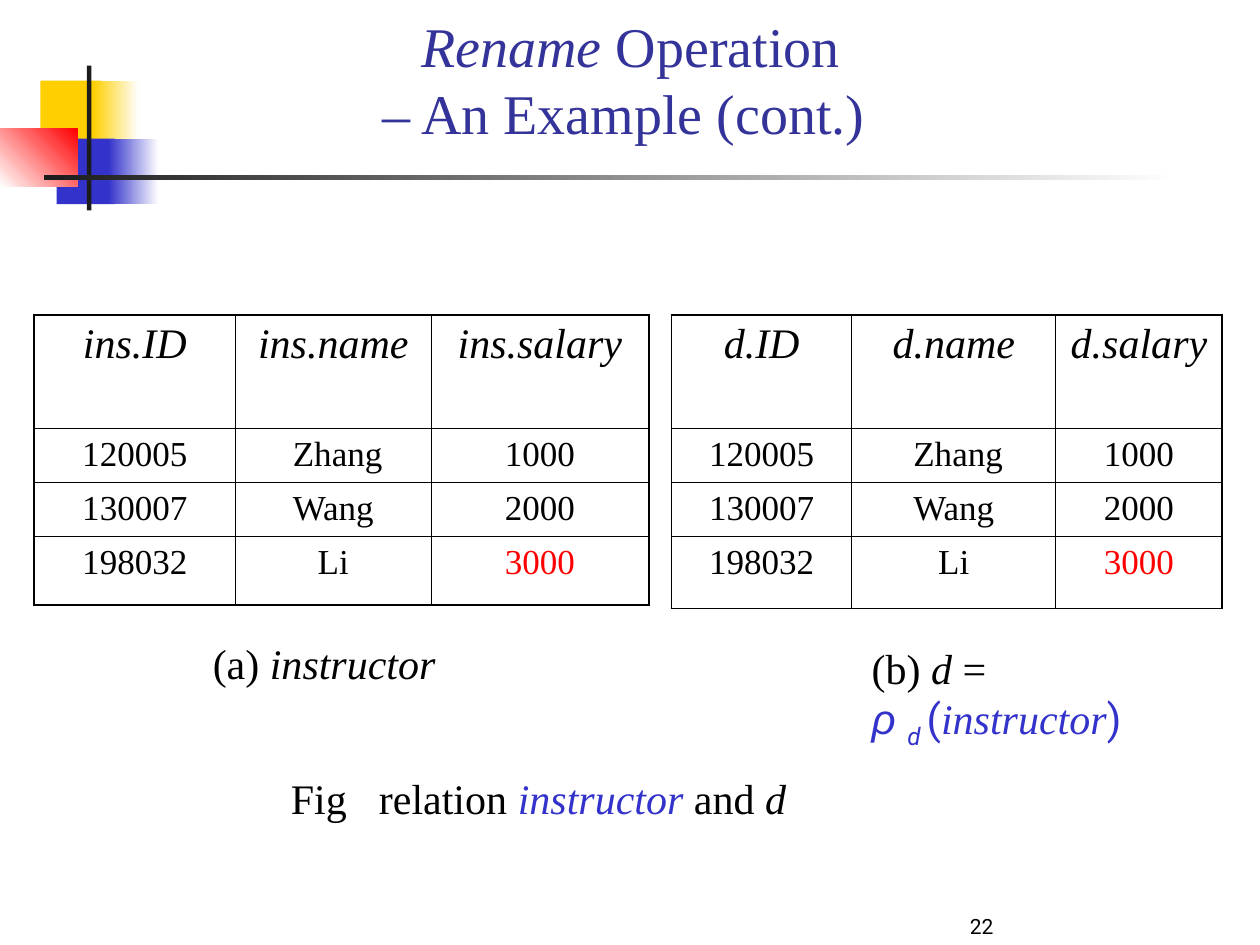
from lxml import etree
from pptx import Presentation
from pptx.dml.color import RGBColor
from pptx.enum.shapes import MSO_SHAPE
from pptx.enum.text import MSO_ANCHOR, MSO_AUTO_SIZE, PP_ALIGN
from pptx.oxml.ns import qn
from pptx.util import Inches, Pt

RECT = MSO_SHAPE.RECTANGLE
LEFT, MID = PP_ALIGN.LEFT, PP_ALIGN.CENTER
TOP, CENTER, LOW = MSO_ANCHOR.TOP, MSO_ANCHOR.MIDDLE, MSO_ANCHOR.BOTTOM
GROW, FIXED = MSO_AUTO_SIZE.SHAPE_TO_FIT_TEXT, MSO_AUTO_SIZE.NONE

BLACK = RGBColor(0, 0, 0)
WHITE = RGBColor(255, 255, 255)
DARK = RGBColor(0x1C, 0x1C, 0x1C)
GOLD = RGBColor(0xFF, 0xCF, 0x01)
BLUE = RGBColor(0x33, 0x33, 0xCC)
NAVY = RGBColor(0x33, 0x33, 0x99)
RED = RGBColor(255, 0, 0)

SERIF, SANS, GREEK = "Times New Roman", "Roboto", "Arial"
UNIT = Inches(0.1)  # the slide is a grid of 100 columns by 75 rows
THIN, THICK = Pt(0.45), Pt(1.08)
DATA = [
    ["120005", " Zhang", "1000"],
    ["130007", "Wang", "2000"],
    ["198032", "Li", "3000"],
]


def grid(*vals):
    return [int(UNIT * val) for val in vals]


def write(para, text, size=24, font=SERIF, color=BLACK, slant=False, sub=False):
    """Add one run of text to a paragraph."""
    run = para.add_run()
    run.text = text
    run.font.size = Pt(size)
    run.font.name = font
    run.font.italic = slant
    run.font.color.rgb = color
    if sub:
        run.font._element.set("baseline", "-25000")


def add_text(slide, box, lines, align=LEFT, anchor=TOP, fit=GROW, wrap=True, tab=None):
    """Place lines, each a list of (text, format) runs, in a box."""
    frame = slide.shapes.add_textbox(*grid(*box)).text_frame
    frame.word_wrap = wrap
    frame.auto_size = fit
    frame.vertical_anchor = anchor
    for num, runs in enumerate(lines):
        para = frame.add_paragraph() if num else frame.paragraphs[0]
        para.alignment = align
        if tab:
            stops = etree.SubElement(para._p.get_or_add_pPr(), qn("a:tabLst"))
            etree.SubElement(stops, qn("a:tab"), pos=str(grid(tab)[0]), algn="l")
        for text, style in runs:
            write(para, text, **style)


def add_bar(slide, box, start, end=None, angle=0):
    """Draw a rectangle, plain or fading from start to end."""
    bar = slide.shapes.add_shape(RECT, *grid(*box))
    bar.shadow.inherit = False
    bar.line.fill.background()
    if end is None:
        bar.fill.solid()
        bar.fill.fore_color.rgb = start
        return
    bar.fill.gradient()
    bar.fill.gradient_angle = angle
    for stop, color in zip(bar.fill.gradient_stops, (start, end)):
        stop.color.rgb = color


def add_motif(slide, left, top):
    for x, y, w, h, *fill in [
        (3.2, 1.2, 4.8, 5.2, GOLD),
        (7.4, 1.2, 3.6, 5.2, GOLD, WHITE),
        (4.5, 5.8, 4.6, 5.2, BLUE),
        (8.6, 5.8, 4, 5.2, BLUE, WHITE),
        (0, 5, 6.15, 4.6, WHITE, RED, 45),
        (6.9, 0, 0.35, 11.5, DARK),
        (3.5, 8.7, 90, 0.35, DARK, WHITE),
    ]:
        add_bar(slide, (left + x, top + y, w, h), *fill)


def edge(cell, sides):
    props = cell._tc.get_or_add_tcPr()
    for side, width in zip("LRTB", sides):
        line = etree.SubElement(props, qn("a:ln" + side), w=str(width))
        fill = etree.SubElement(line, qn("a:solidFill"))
        etree.SubElement(fill, qn("a:srgbClr"), val=str(BLACK))


def add_relation(slide, left, top, name, cols, rows):
    """Draw one relation: slanted heads over the shared data."""
    heads = [f"{name}.{field}" for field in ("ID", "name", "salary")]
    body = [heads] + DATA
    box = grid(left, top, sum(cols), sum(rows))
    table = slide.shapes.add_table(len(rows), len(cols), *box).table
    table.first_row = table.horz_banding = False
    for col, width in zip(table.columns, grid(*cols)):
        col.width = width
    last, end = len(rows) - 1, len(cols) - 1
    for r, (row, height) in enumerate(zip(table.rows, grid(*rows))):
        row.height = height
        for c, cell in enumerate(row.cells):
            rims = (c == 0, c == end, r == 0, r == last)
            edge(cell, [THICK if rim else THIN for rim in rims])
            cell.fill.background()
            para = cell.text_frame.paragraphs[0]
            para.alignment = MID
            write(para, body[r][c], size=20 if r else 24, slant=r == 0,
                  color=RED if (r, c) == (last, end) else BLACK)


def add_title(slide, box):
    look = dict(size=32, color=NAVY)
    add_text(slide, box, [
        [("Rename", dict(look, slant=True)), (" Operation", look)],
        [("– An Example (cont.) ", look)],
    ], align=MID, anchor=CENTER, fit=FIXED)


def add_labels(slide):
    slant = dict(slant=True)
    blue = dict(color=BLUE, slant=True)
    add_text(slide, (15.9, 50.1, 20.5, 5),
             [[("(a) ", {}), ("instructor", slant)]], wrap=False)
    add_text(slide, (68.2, 50.5, 23.6, 9.6), [
        [("(b) ", {}), ("d", slant), (" =", {})],
        [("ρ ", dict(blue, font=GREEK)),
         ("d ", dict(blue, font=SANS, sub=True)),
         ("(", dict(color=BLUE, font=SANS)),
         ("instructor", blue),
         (")", dict(color=BLUE, font=SANS))],
    ])
    add_text(slide, (22.1, 60.8, 52.4, 5), [[
        ("Fig\trelation ", {}), ("instructor ", blue),
        ("and", {}), (" d", slant),
    ]], tab=7)


def main():
    deck = Presentation()
    deck.slide_width, deck.slide_height = grid(100, 75)
    slide = deck.slides.add_slide(deck.slide_layouts[6])
    add_motif(slide, 0, 5.2)
    add_title(slide, (6.7, 0, 86.7, 12.5))
    add_relation(slide, 2.7, 25, "ins", (16, 15.5, 17.3), (9, 4.3, 4.3, 5.4))
    add_relation(slide, 53.3, 25, "d", (14.3, 16.2, 13.2), (9, 4.3, 4.3, 5.7))
    add_labels(slide)
    add_text(slide, (67.5, 70, 20.8, 5), [[("22", dict(size=12, font=SANS))]],
             align=MID, anchor=LOW, fit=FIXED)
    deck.save("out.pptx")


if __name__ == "__main__":
    main()
